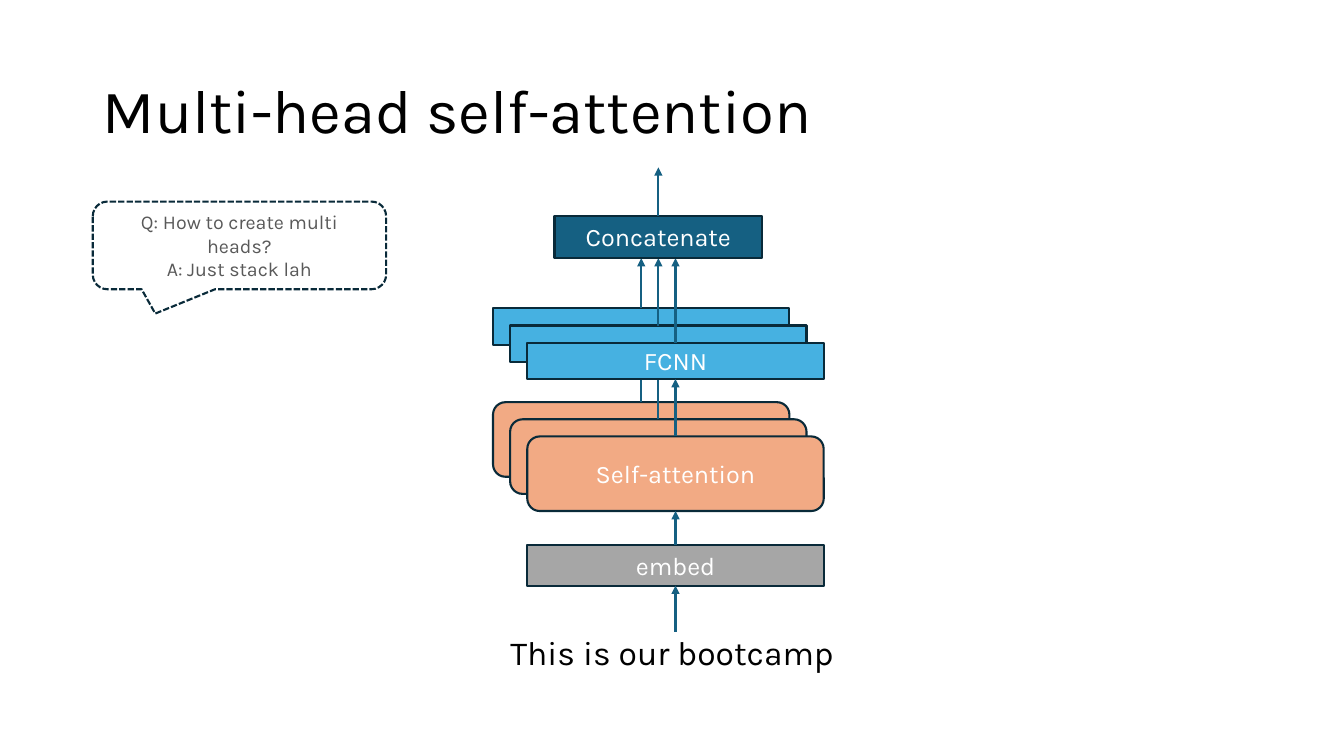
from dataclasses import dataclass

from lxml import etree
from pptx import Presentation
from pptx.dml.color import RGBColor
from pptx.enum.dml import MSO_LINE
from pptx.enum.shapes import MSO_CONNECTOR, MSO_SHAPE
from pptx.enum.text import MSO_ANCHOR, MSO_AUTO_SIZE, PP_ALIGN
from pptx.oxml.ns import qn
from pptx.slide import Slide
from pptx.text.text import TextFrame
from pptx.util import Inches, Pt

RECT = MSO_SHAPE.RECTANGLE
ROUND = MSO_SHAPE.ROUNDED_RECTANGLE
CALLOUT = MSO_SHAPE.ROUNDED_RECTANGULAR_CALLOUT
STRAIGHT = MSO_CONNECTOR.STRAIGHT
DASH = MSO_LINE.SQUARE_DOT
LEFT, CENTER = PP_ALIGN.LEFT, PP_ALIGN.CENTER
MIDDLE = MSO_ANCHOR.MIDDLE
FIT_SHAPE = MSO_AUTO_SIZE.SHAPE_TO_FIT_TEXT

HEADS = 3
HEAD_STEP = 0.17


@dataclass(frozen=True)
class Theme:
    font: str = "Karla"
    title: int = 44
    sentence: int = 24
    label: int = 18
    note: int = 14
    line: float = 1.5
    black: str = "000000"
    white: str = "FFFFFF"
    grey_text: str = "595959"
    outline: str = "092A39"
    teal: str = "156082"
    grey: str = "A6A6A6"
    orange: str = "F2AA84"
    blue: str = "46B1E1"


@dataclass(frozen=True)
class Block:
    shape: MSO_SHAPE
    left: float
    top: float
    width: float
    height: float
    fill: str
    text: str = ""

    @property
    def center(self) -> float:
        return self.left + self.width / 2

    @property
    def bottom(self) -> float:
        return self.top + self.height


THEME = Theme()
EMBED = Block(RECT, 5.23, 5.41, 2.94, 0.4, THEME.grey, "embed")
CONCAT = Block(RECT, 5.5, 2.14, 2.06, 0.42, THEME.teal, "Concatenate")
NOTE = Block(CALLOUT, 0.92, 2, 2.91, 0.87, THEME.white,
             "Q: How to create multi heads?\nA: Just stack lah")
NOTE_ADJUSTMENTS = (-0.287, 0.777, 0.167)


def set_text(tf: TextFrame, text: str, size: int, color: str,
             align: PP_ALIGN = CENTER) -> None:
    tf.word_wrap = True
    tf.text = text
    for p in tf.paragraphs:
        p.alignment = align
        for r in p.runs:
            for name, value in {"name": THEME.font, "size": Pt(size)}.items():
                setattr(r.font, name, value)
            r.font.color.rgb = RGBColor.from_string(color)


def add_block(s: Slide, block: Block, size: int = THEME.label,
              color: str = THEME.white):
    sp = s.shapes.add_shape(block.shape, Inches(block.left), Inches(block.top),
                            Inches(block.width), Inches(block.height))
    sp.shadow.inherit = False
    sp.fill.solid()
    sp.fill.fore_color.rgb = RGBColor.from_string(block.fill)
    sp.line.color.rgb = RGBColor.from_string(THEME.outline)
    sp.line.width = Pt(THEME.line)
    if block.text:
        sp.text_frame.vertical_anchor = MIDDLE
        set_text(sp.text_frame, block.text, size, color)
    return sp


def add_up_arrow(s: Slide, x: float, start: float, end: float) -> None:
    arrow = s.shapes.add_connector(STRAIGHT, Inches(x), Inches(start),
                                   Inches(x), Inches(end))
    arrow.line.color.rgb = RGBColor.from_string(THEME.teal)
    arrow.line.width = Pt(THEME.line)
    etree.SubElement(arrow.line._get_or_add_ln(), qn("a:tailEnd"), type="triangle")
    etree.SubElement(arrow._element.spPr, qn("a:effectLst"))


def add_head(s: Slide, index: int) -> Block:
    """Draw one attention head, back to front, and return its attention block."""
    shift = index * HEAD_STEP
    front = index == HEADS - 1
    attention = Block(ROUND, 4.89 + shift, 3.99 + shift, 2.94, 0.74, THEME.orange,
                      "Self-attention" if front else "")
    fcnn = Block(RECT, 4.89 + shift, 3.06 + shift, 2.94, 0.36, THEME.blue,
                 "FCNN" if front else "")
    add_block(s, attention)
    add_block(s, fcnn)
    add_up_arrow(s, attention.center, attention.top, fcnn.bottom)
    add_up_arrow(s, fcnn.center, fcnn.top, CONCAT.bottom)
    return attention


def add_title(s: Slide, text: str) -> None:
    title = s.shapes.title
    place = {"left": 0.92, "top": 0.4, "width": 11.5, "height": 1.45}
    for name, value in place.items():
        setattr(title, name, Inches(value))
    tf = title.text_frame
    tf.vertical_anchor = MIDDLE
    set_text(tf, text, THEME.title, THEME.black, LEFT)
    tf.paragraphs[0].line_spacing = 0.9


def add_sentence(s: Slide, text: str) -> None:
    box = s.shapes.add_textbox(Inches(4.89), Inches(6.22), Inches(3.55), Inches(0.5))
    set_text(box.text_frame, text, THEME.sentence, THEME.black)
    box.text_frame.auto_size = FIT_SHAPE


def add_note(s: Slide) -> None:
    note = add_block(s, NOTE, THEME.note, THEME.grey_text)
    note.line.dash_style = DASH
    for i, value in enumerate(NOTE_ADJUSTMENTS):
        note.adjustments[i] = value


def main() -> None:
    prs = Presentation()
    prs.slide_width, prs.slide_height = Inches(13.33), Inches(7.5)
    s = prs.slides.add_slide(prs.slide_layouts[5])
    add_title(s, "Multi-head self-attention")
    add_sentence(s, "This is our bootcamp")
    add_block(s, EMBED)
    add_up_arrow(s, EMBED.center, 6.27, EMBED.bottom)
    heads = [add_head(s, i) for i in range(HEADS)]
    add_block(s, CONCAT)
    add_up_arrow(s, EMBED.center, EMBED.top, heads[-1].bottom)
    add_up_arrow(s, CONCAT.center, CONCAT.top, 1.66)
    add_note(s)
    prs.save("out.pptx")


if __name__ == "__main__":
    main()
